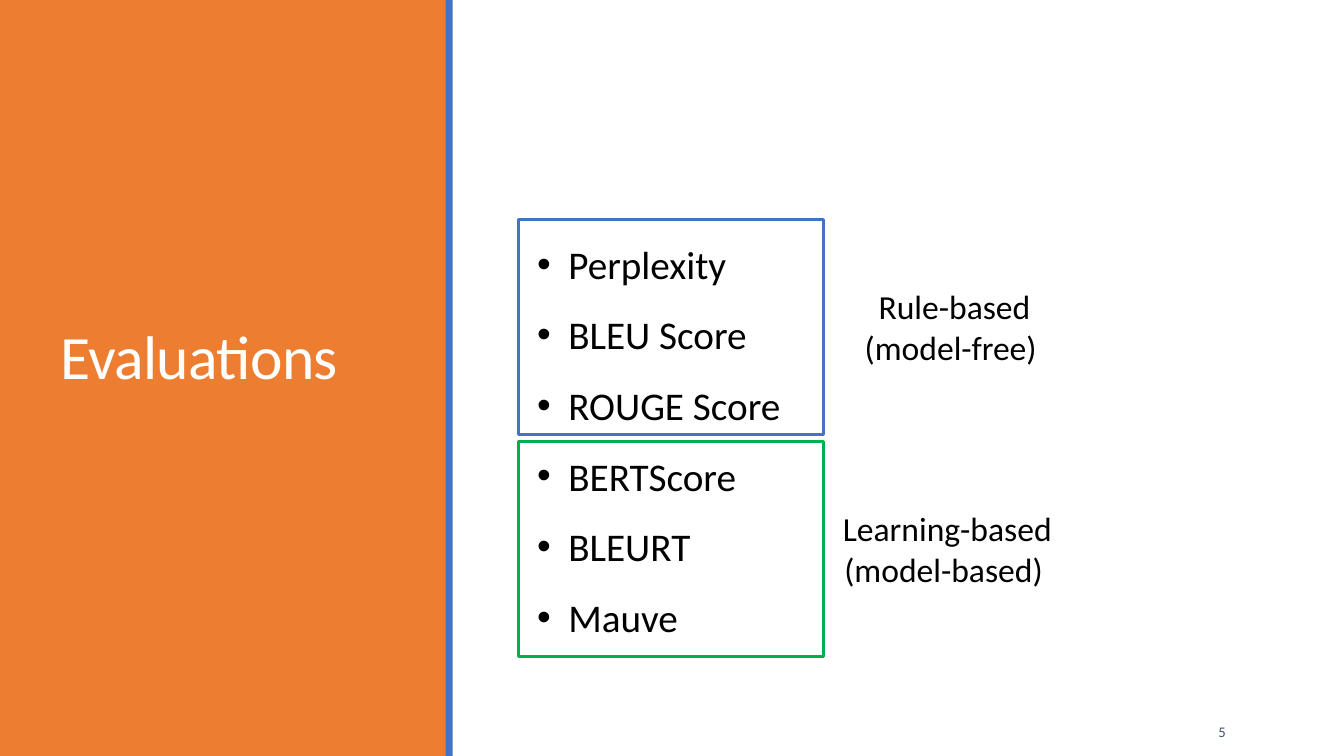
from lxml import etree
from pptx import Presentation
from pptx.dml.color import RGBColor
from pptx.enum.shapes import MSO_SHAPE
from pptx.enum.text import MSO_ANCHOR, MSO_AUTO_SIZE, PP_ALIGN
from pptx.oxml.ns import qn
from pptx.util import Cm, Pt

RECTANGLE = MSO_SHAPE.RECTANGLE
LEFT, CENTER, RIGHT = PP_ALIGN.LEFT, PP_ALIGN.CENTER, PP_ALIGN.RIGHT
TOP, MIDDLE, BOTTOM = MSO_ANCHOR.TOP, MSO_ANCHOR.MIDDLE, MSO_ANCHOR.BOTTOM
NO_AUTOFIT = MSO_AUTO_SIZE.NONE

FONT = "Calibri"
COLORS = {
    "panel": "ED7D31",
    "blue": "4472C4",
    "green": "00B050",
    "title": "FFFFFF",
    "text": "000000",
    "number": "44546A",
}
SLIDE_WIDTH, SLIDE_HEIGHT = 33.87, 19.05
METRICS = ["Perplexity", "BLEU Score", "ROUGE Score", "BERTScore", "BLEURT", "Mauve"]

# Frames around the two groups of metrics
FRAME_LEFT, FRAME_WIDTH, FRAME_HEIGHT = 13.06, 7.7, 5.41
FRAME_TOP, FRAME_STEP = 5.54, 5.59
LABEL_OFFSET = 1.55
GROUPS = [
    ("blue", ["Rule-based (model-free) "], 20.98, 6.15),
    ("green", ["Learning-based", "(model-based) "], 18.67, 10.41),
]


def color(name):
    return RGBColor.from_string(COLORS[name])


def place(shape, left, top, width, height):
    shape.left, shape.top = Cm(left), Cm(top)
    shape.width, shape.height = Cm(width), Cm(height)


def add_bullet(para, indent):
    properties = para._p.get_or_add_pPr()
    properties.set("marL", str(Cm(indent)))
    properties.set("indent", str(-Cm(indent)))
    etree.SubElement(properties, qn("a:buFont")).set("typeface", "Arial")
    etree.SubElement(properties, qn("a:buChar")).set("char", "•")


def write(box, lines, *, size, fill="text", align=LEFT, anchor=TOP,
          line_spacing=1.0, letter_spacing=None, bullet_indent=None):
    frame = box.text_frame
    frame.word_wrap = True
    frame.auto_size = NO_AUTOFIT
    frame.vertical_anchor = anchor
    for index, line in enumerate(lines):
        para = frame.add_paragraph() if index else frame.paragraphs[0]
        if bullet_indent:
            add_bullet(para, bullet_indent)
        para.alignment = align
        para.line_spacing = line_spacing
        para.space_before = para.space_after = Pt(0)
        span = para.add_run()
        span.text = line
        span.font.name = FONT
        span.font.size = Pt(size)
        span.font.color.rgb = color(fill)
        if letter_spacing is not None:
            span._r.get_or_add_rPr().set("spc", str(int(letter_spacing * 100)))


def add_text(page, lines, left, top, width, height, **style):
    box = page.shapes.add_textbox(Cm(left), Cm(top), Cm(width), Cm(height))
    write(box, lines, **style)


def add_rectangle(page, left, top, width, height, fill=None, outline=None):
    box = page.shapes.add_shape(RECTANGLE, Cm(left), Cm(top), Cm(width), Cm(height))
    box.shadow.inherit = False
    if fill:
        box.fill.solid()
        box.fill.fore_color.rgb = color(fill)
    else:
        box.fill.background()
    if outline:
        box.line.color.rgb = color(outline)
        box.line.width = Pt(2.25)
    else:
        box.line.fill.background()
    return box


def add_side_panel(page):
    panel = add_rectangle(page, 0, 0, 11.25, SLIDE_HEIGHT, fill="panel")
    stripe = add_rectangle(page, 11.23, 0, 0.18, SLIDE_HEIGHT, fill="blue")
    # Send both behind the placeholders
    for position, shape in enumerate((panel, stripe), start=2):
        page.shapes._spTree.insert(position, shape._element)


def main():
    deck = Presentation()
    deck.slide_width, deck.slide_height = Cm(SLIDE_WIDTH), Cm(SLIDE_HEIGHT)
    page = deck.slides.add_slide(deck.slide_layouts[1])

    add_side_panel(page)

    # Title and list of metrics
    title, body = page.shapes.title, page.placeholders[1]
    place(title, 1.27, 3.66, 8.89, 6.35)
    write(title, ["Evaluations"], size=44, fill="title", anchor=BOTTOM,
          line_spacing=0.85, letter_spacing=-0.5)
    place(body, 13.28, 5.33, 10.41, 10.85)
    write(body, METRICS, size=28, line_spacing=1.5, bullet_indent=0.79)

    # Framed groups with their labels
    for index, (outline, label, label_left, label_width) in enumerate(GROUPS):
        top = FRAME_TOP + index * FRAME_STEP
        add_rectangle(page, FRAME_LEFT, top, FRAME_WIDTH, FRAME_HEIGHT, outline=outline)
        add_text(page, label, label_left, top + LABEL_OFFSET, label_width, 2.31,
                 size=24, align=CENTER)

    # Slide number
    add_text(page, ["5"], 27.51, 17.93, 3.63, 1.02, size=10.5, fill="number",
             align=RIGHT, anchor=MIDDLE)

    deck.save("out.pptx")


if __name__ == "__main__":
    main()
